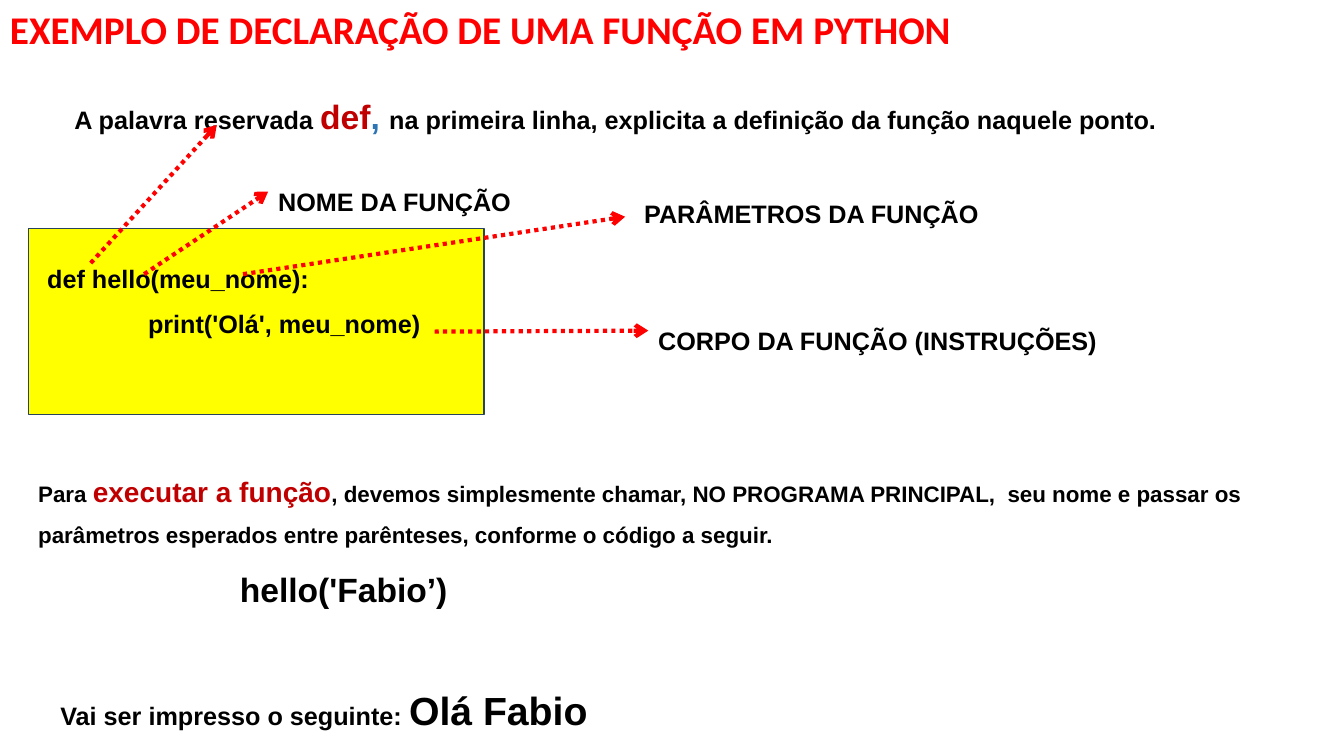
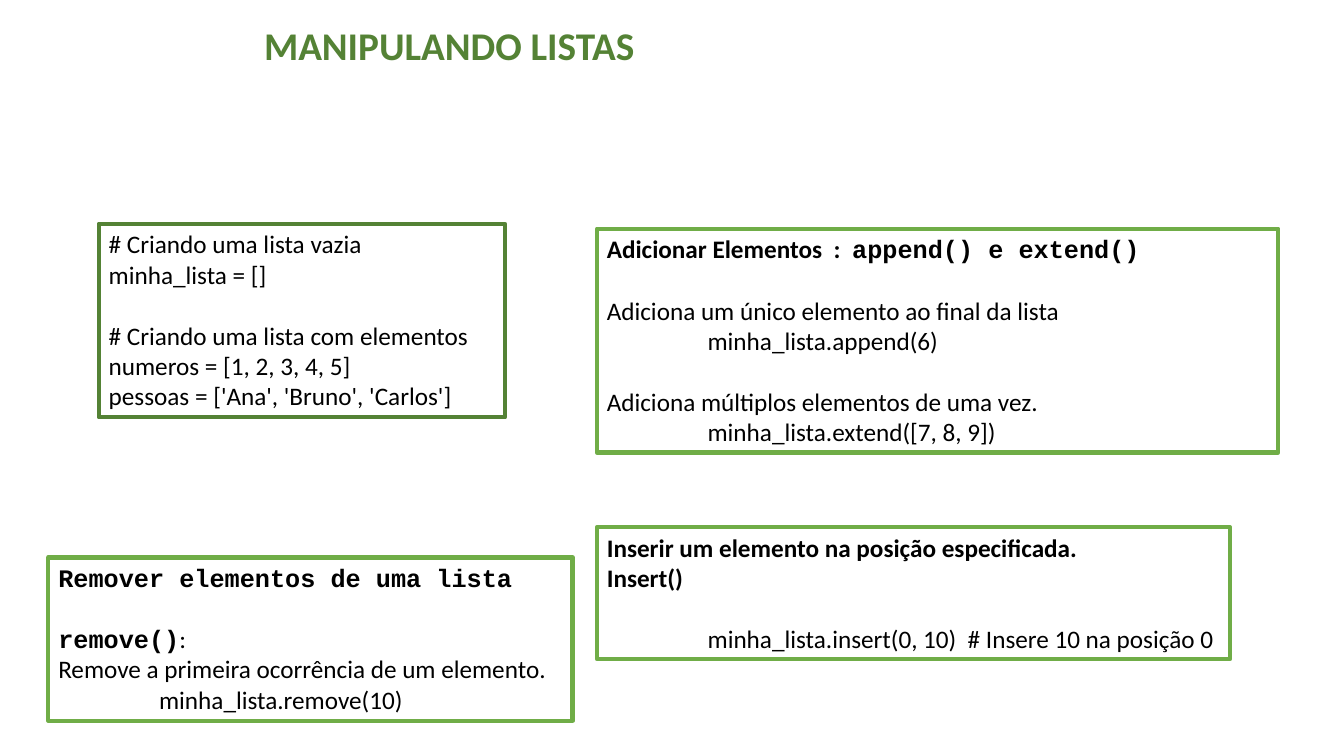
from dataclasses import dataclass, replace

from lxml import etree
from pptx import Presentation
from pptx.dml.color import RGBColor
from pptx.enum.dml import MSO_LINE
from pptx.enum.shapes import MSO_CONNECTOR, MSO_SHAPE
from pptx.oxml.ns import qn
from pptx.util import Emu, Pt

PX = 9144  # EMU per px, 100 px to the inch
LEFT_SIDE = 1

BLACK = RGBColor(0x00, 0x00, 0x00)
RED = RGBColor(0xFF, 0x00, 0x00)
DARK_RED = RGBColor(0xC0, 0x00, 0x00)
BLUE = RGBColor(0x2E, 0x75, 0xB6)
YELLOW = RGBColor(0xFF, 0xFF, 0x00)
NAVY = RGBColor(0x28, 0x44, 0x5D)
GREEN = RGBColor(0x70, 0xAD, 0x47)
DARK_GREEN = RGBColor(0x54, 0x82, 0x35)


@dataclass(frozen=True)
class Type:
    size: int = 18
    name: str = "Calibri"
    color: RGBColor = BLACK
    bold: bool = False


BODY = Type()
BODY_BOLD = replace(BODY, bold=True)
MONO_BOLD = Type(name="Courier New", bold=True)
ARIAL = Type(name="Arial", bold=True)
ARIAL_SMALL = replace(ARIAL, size=16)
ARIAL_LARGE = replace(ARIAL, size=24)


@dataclass
class Line:
    """One paragraph: runs are strings in its own type, or (text, type) pairs."""
    runs: list
    type: Type = BODY
    indent: int = 0
    gap: bool = False  # one empty line's height above


class Deck:
    GAP = Pt(22)

    def __init__(self, width, height):
        self.prs = Presentation()
        self.prs.slide_width, self.prs.slide_height = self.px(width, height)
        self.shapes = None

    @staticmethod
    def px(*lengths):
        return [Emu(length * PX) for length in lengths]

    def new_slide(self):
        self.shapes = self.prs.slides.add_slide(self.prs.slide_layouts[6]).shapes

    @staticmethod
    def set_font(font, kind, base=None):
        """Set what differs from base."""
        if base is None or kind.size != base.size:
            font.size = Pt(kind.size)
        if base is None or kind.name != base.name:
            font.name = kind.name
        if base is None or kind.color != base.color:
            font.color.rgb = kind.color
        if base is None or kind.bold != base.bold:
            font.bold = kind.bold

    def text(self, x, y, w, h, lines, spacing=1.0):
        box = self.shapes.add_textbox(*self.px(x, y, w, h))
        frame = box.text_frame
        frame.word_wrap = True
        for i, line in enumerate(lines):
            paragraph = frame.paragraphs[0] if i == 0 else frame.add_paragraph()
            paragraph.line_spacing = spacing
            if line.gap:
                paragraph.space_before = self.GAP
            if line.indent:
                paragraph._p.get_or_add_pPr().set("marL", str(line.indent * PX))
            self.set_font(paragraph.font, line.type)
            for part in line.runs:
                words, kind = (part, line.type) if isinstance(part, str) else part
                run = paragraph.add_run()
                run.text = words
                self.set_font(run.font, kind, line.type)
        return box

    def title(self, x, y, w, words, color):
        self.text(x, y, w, 57, [Line([words], Type(28, color=color, bold=True))])

    def label(self, x, y, w, words):
        return self.text(x, y, w, 50, [Line([words], ARIAL)], spacing=1.5)

    def framed(self, x, y, w, h, lines, color=GREEN):
        box = self.text(x, y, w, h, lines)
        box.line.color.rgb = color
        box.line.width = Pt(3)

    def panel(self, x, y, w, h, fill, outline):
        shape = self.shapes.add_shape(MSO_SHAPE.RECTANGLE, *self.px(x, y, w, h))
        shape.shadow.inherit = False
        shape.fill.solid()
        shape.fill.fore_color.rgb = fill
        shape.line.color.rgb = outline
        shape.line.width = Pt(1)

    def arrow(self, x1, y1, x2, y2, target=None):
        arrow = self.shapes.add_connector(
            MSO_CONNECTOR.STRAIGHT, *self.px(x1, y1, x2, y2))
        if target is not None:
            arrow.end_connect(target, LEFT_SIDE)
        arrow.line.color.rgb = RED
        arrow.line.width = Pt(3)
        arrow.line.dash_style = MSO_LINE.ROUND_DOT
        properties = arrow._element.spPr
        etree.SubElement(properties.find(qn("a:ln")), qn("a:tailEnd"), type="arrow")
        etree.SubElement(properties, qn("a:effectLst"))


def function_slide(deck):
    deck.new_slide()
    deck.title(0, 0, 1318, "EXEMPLO DE DECLARAÇÃO DE UMA FUNÇÃO EM PYTHON", RED)

    # Code panel
    deck.panel(28, 227, 452, 184, YELLOW, NAVY)
    deck.text(37, 241, 623, 100, [
        Line(["def hello(meu_nome):"], ARIAL),
        Line(["print('Olá', meu_nome)"], ARIAL, indent=100),
    ], spacing=1.5)

    # Labels for the parts of the function
    deck.text(64, 70, 1225, 63, [Line([
        "A palavra reservada ",
        ("def", replace(ARIAL_LARGE, color=DARK_RED)),
        (", ", replace(ARIAL_LARGE, color=BLUE)),
        "na primeira linha, explicita a definição da função naquele ponto.",
    ], ARIAL)], spacing=1.5)
    function_name = deck.label(266, 165, 252, "NOME DA FUNÇÃO")
    deck.label(629, 177, 372, "PARÂMETROS DA FUNÇÃO")
    function_body = deck.label(643, 303, 461, "CORPO DA FUNÇÃO (INSTRUÇÕES)")

    # Arrows from the code to its labels
    deck.arrow(90, 261, 215, 124)
    deck.arrow(143, 272, 266, 192, function_name)
    deck.arrow(241, 272, 620, 215)
    deck.arrow(431, 329, 642, 326, function_body)

    # Calling the function and its output
    deck.text(28, 449, 1225, 155, [
        Line(["Para ",
              ("executar a função", Type(20, "Arial", DARK_RED, True)),
              ", devemos simplesmente chamar, NO PROGRAMA PRINCIPAL,  seu nome "
              "e passar os parâmetros esperados entre parênteses, conforme o "
              "código a seguir."], ARIAL_SMALL),
        Line(["hello('Fabio’)"], ARIAL_LARGE, indent=200),
    ], spacing=1.5)
    deck.text(50, 653, 973, 73, [
        Line(["Vai ser impresso o seguinte: ",
              ("Olá Fabio", replace(ARIAL, size=28))], ARIAL),
    ], spacing=1.5)


def lists_slide(deck):
    deck.new_slide()
    deck.title(252, 16, 822, "MANIPULANDO LISTAS", DARK_GREEN)

    # Creating
    deck.framed(98, 222, 403, 192, [
        Line(["# Criando uma lista vazia"]),
        Line(["minha_lista = []"]),
        Line(["# Criando uma lista com elementos"], gap=True),
        Line(["numeros = [1, 2, 3, 4, 5]"]),
        Line(["pessoas = ['Ana', 'Bruno', 'Carlos']"]),
    ], DARK_GREEN)

    # Adding
    deck.framed(592, 227, 676, 222, [
        Line(["Adicionar Elementos  :  ", ("append() e extend()", MONO_BOLD)],
             BODY_BOLD),
        Line(["Adiciona um único elemento ao final da lista"], gap=True),
        Line(["minha_lista.append(6)"], indent=100),
        Line(["Adiciona múltiplos elementos de uma vez."], gap=True),
        Line(["minha_lista.extend([7, 8, 9])"], indent=100),
    ])

    # Inserting
    deck.framed(592, 523, 628, 131, [
        Line(["Inserir um elemento na posição especificada."], BODY_BOLD),
        Line(["Insert()"], BODY_BOLD),
        Line(["minha_lista.insert(0, 10)  # Insere 10 na posição 0"],
             indent=100, gap=True),
    ])

    # Removing
    deck.framed(48, 553, 520, 162, [
        Line(["Remover elementos de uma lista"], MONO_BOLD),
        Line([("remove()", MONO_BOLD), ":"], gap=True),
        Line(["Remove a primeira ocorrência de um elemento."]),
        Line(["minha_lista.remove(10)"], indent=100),
    ])


def main():
    deck = Deck(1333, 750)
    function_slide(deck)
    lists_slide(deck)
    deck.prs.save("out.pptx")


if __name__ == "__main__":
    main()
